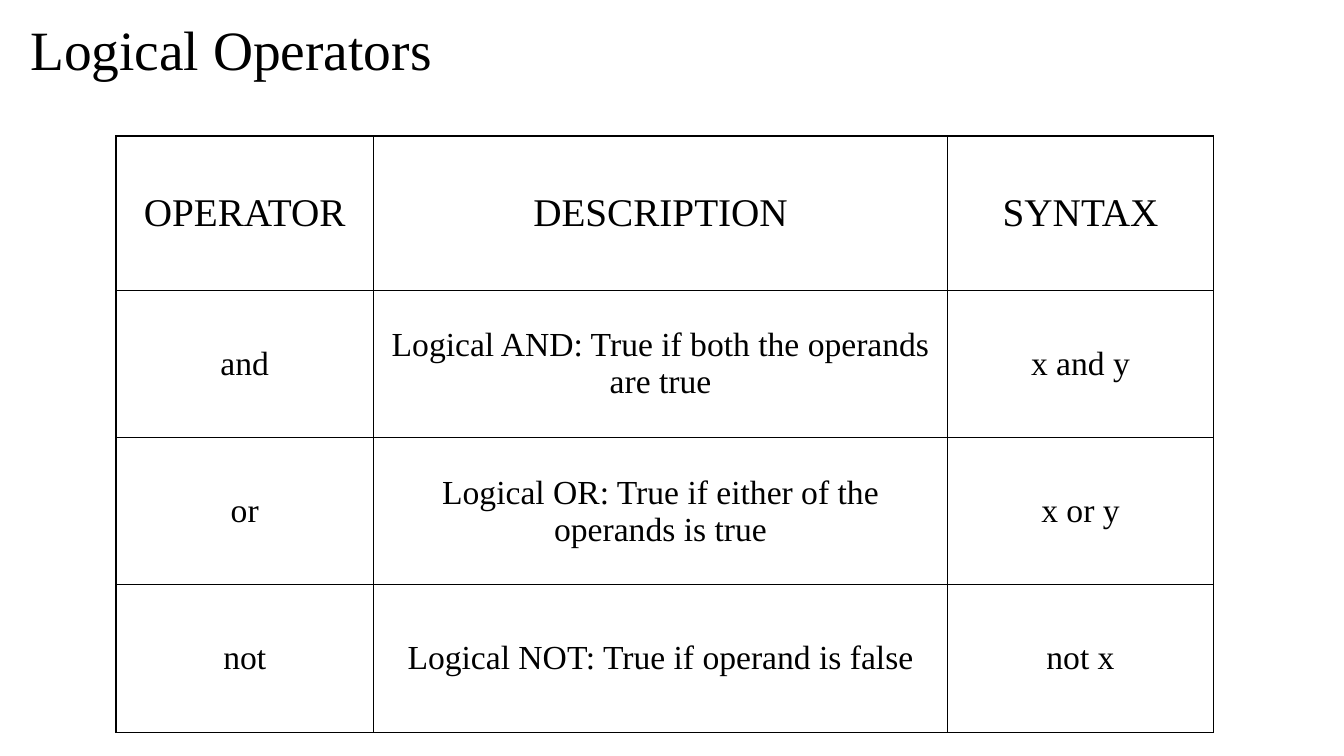
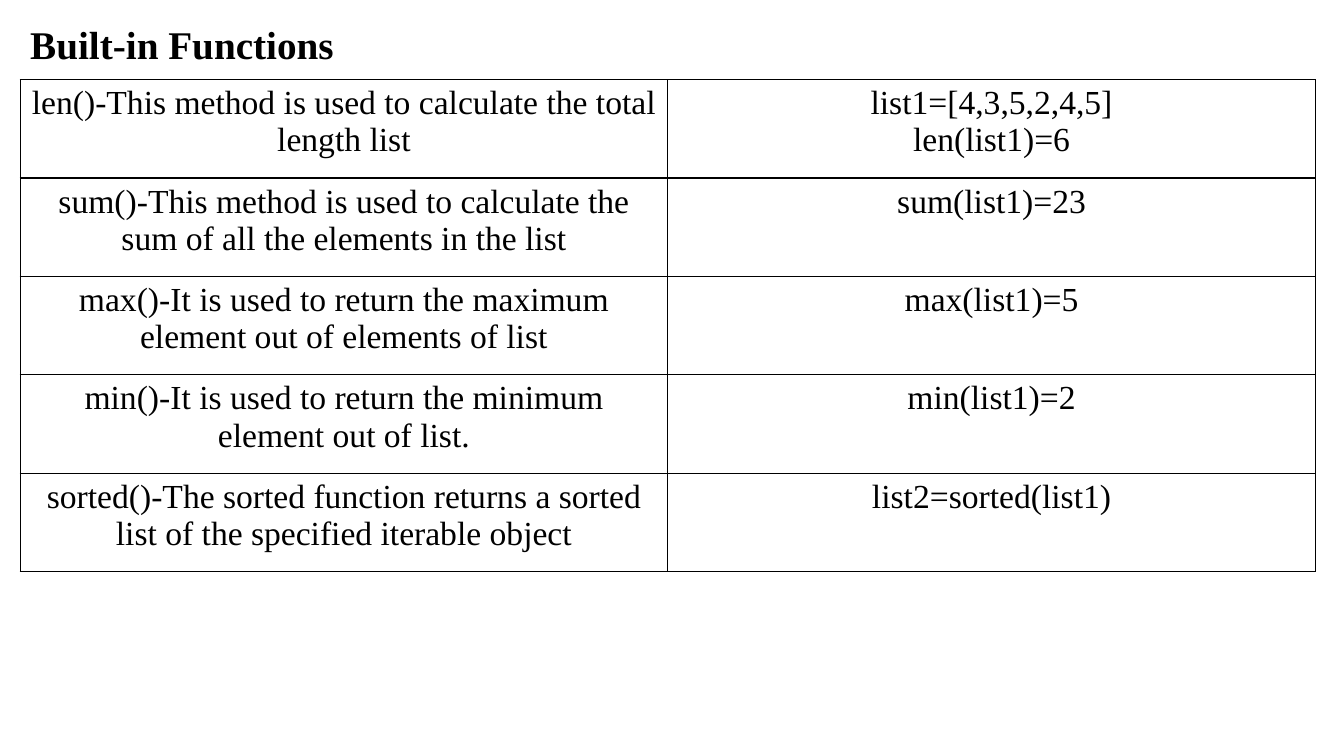
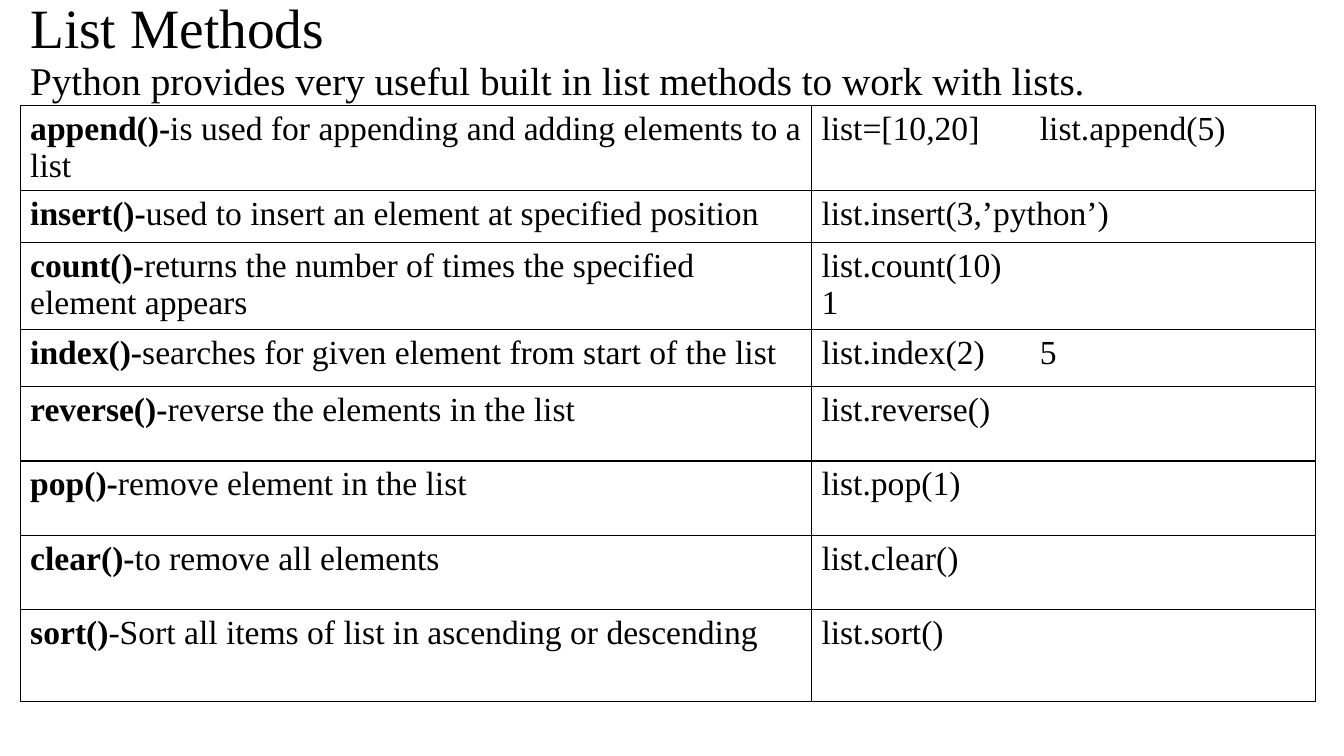
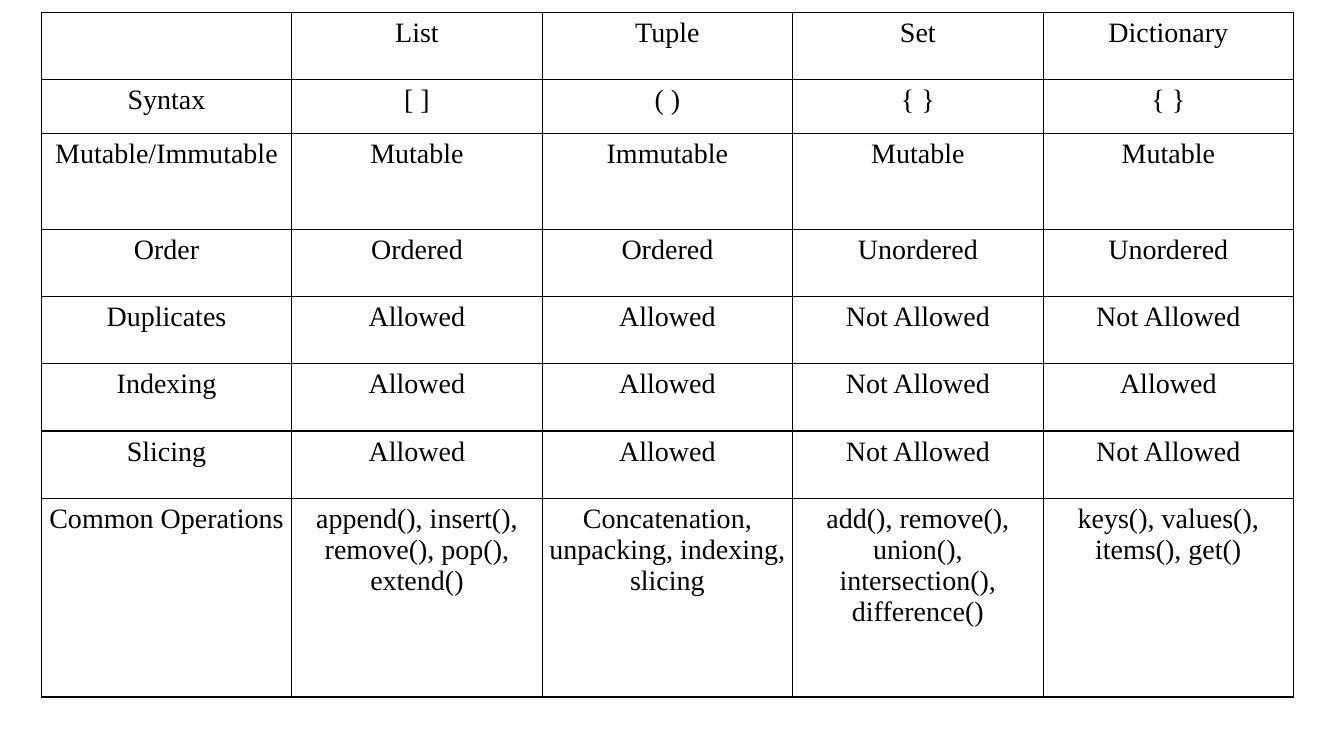
from lxml.etree import SubElement
from pptx import Presentation
from pptx.dml.color import RGBColor
from pptx.enum.text import MSO_ANCHOR, MSO_AUTO_SIZE, PP_ALIGN
from pptx.oxml import parse_xml
from pptx.oxml.ns import nsdecls, qn
from pptx.util import Pt

# Shared style
BLACK = RGBColor(0x00, 0x00, 0x00)
FONT = "Times New Roman"
TITLE_SIZE, HEADING_SIZE, BODY_SIZE, SMALL_SIZE = 39.6, 28, 24, 20
LEFT, WIDTH = 14.4, 925.2
TITLE_ONLY, BLANK = 5, 6
EXAMPLE_TAB = 156

# Table contents; a pair is a bold lead and the plain text after it
OPERATORS = [
    ("OPERATOR", "DESCRIPTION", "SYNTAX"),
    ("and", "Logical AND: True if both the operands are true", "x and y"),
    ("or", "Logical OR: True if either of the operands is true", "x or y"),
    ("not", "Logical NOT: True if operand is false", "not x"),
]
FUNCTIONS = [
    ("len()-This method is used to calculate the total length list",
     "list1=[4,3,5,2,4,5]\nlen(list1)=6"),
    ("sum()-This method is used to calculate the sum of all the elements in the list",
     "sum(list1)=23"),
    ("max()-It is used to return the maximum element out of elements of list",
     "max(list1)=5"),
    ("min()-It is used to return the minimum element out of list.", "min(list1)=2"),
    ("sorted()-The sorted function returns a sorted list of the specified iterable object",
     "list2=sorted(list1)"),
]
METHODS = [
    (("append()-", "is used for appending and adding elements to a list"),
     "list=[10,20]\tlist.append(5)"),
    (("insert()-", "used to insert an element at specified position"),
     "list.insert(3,’python’)"),
    (("count()-", "returns the number of times the specified element appears"),
     "list.count(10)\n1"),
    (("index()-", "searches for given element from start of the list"),
     "list.index(2)\t5"),
    (("reverse()-", "reverse the elements in the list"), "list.reverse()"),
    (("pop()-", "remove element in the list"), "list.pop(1)"),
    (("clear()-", "to remove all elements"), "list.clear()"),
    (("sort()", "-Sort all items of list in ascending or descending"), "list.sort()"),
]
COLLECTIONS = [
    ("", "List", "Tuple", "Set", "Dictionary"),
    ("Syntax", "[ ]", "( )", "{ }", "{ }"),
    ("Mutable/Immutable", "Mutable", "Immutable", "Mutable", "Mutable"),
    ("Order", "Ordered", "Ordered", "Unordered", "Unordered"),
    ("Duplicates", "Allowed", "Allowed", "Not Allowed", "Not Allowed"),
    ("Indexing", "Allowed", "Allowed", "Not Allowed", "Allowed"),
    ("Slicing", "Allowed", "Allowed", "Not Allowed", "Not Allowed"),
    ("Common Operations", "append(), insert(), remove(), pop(), extend()",
     "Concatenation, unpacking, indexing, slicing",
     "add(), remove(), union(), intersection(), difference()",
     "keys(), values(), items(), get()"),
]


def style_run(r, size, bold=False):
    r.font.name = FONT
    r.font.size = Pt(size)
    r.font.bold = bold
    r.font.color.rgb = BLACK


def write_line(sp, text, size, bold=False, anchor=MSO_ANCHOR.TOP):
    """Fill a title or text box with one left-aligned line."""
    tf = sp.text_frame
    tf.text = text
    tf.word_wrap = True
    tf.auto_size = MSO_AUTO_SIZE.NONE
    tf.vertical_anchor = anchor
    p = tf.paragraphs[0]
    p.alignment = PP_ALIGN.LEFT
    p.line_spacing = 0.9
    style_run(p.runs[0], size, bold)


def add_titled_slide(prs, text, top, height, size=TITLE_SIZE, bold=False,
                     anchor=MSO_ANCHOR.MIDDLE):
    s = prs.slides.add_slide(prs.slide_layouts[TITLE_ONLY])
    sp = s.shapes.title
    sp.left, sp.top, sp.width, sp.height = Pt(LEFT), Pt(top), Pt(WIDTH), Pt(height)
    write_line(sp, text, size, bold, anchor)
    return s


def set_borders(cell):
    tcPr = cell._tc.get_or_add_tcPr()
    for i, side in enumerate(("lnL", "lnR", "lnT", "lnB")):
        tcPr.insert(i, parse_xml(
            f'<a:{side} {nsdecls("a")} w="{Pt(1)}"><a:solidFill>'
            f'<a:srgbClr val="{BLACK}"/></a:solidFill></a:{side}>'))


def add_tab_stop(p, pos):
    tabs = SubElement(p._p.get_or_add_pPr(), qn("a:tabLst"))
    SubElement(tabs, qn("a:tab"), pos=str(Pt(pos)), algn="l")


def fill_cell(cell, content, size, align, anchor, margins):
    cell.fill.background()
    set_borders(cell)
    cell.vertical_anchor = anchor
    cell.margin_left = cell.margin_right = Pt(margins[0])
    cell.margin_top = cell.margin_bottom = Pt(margins[1])
    tf = cell.text_frame
    if isinstance(content, tuple):
        for text, bold in zip(content, (True, False)):
            r = tf.paragraphs[0].add_run()
            r.text = text
            style_run(r, size, bold)
    else:
        tf.text = content
        for p in tf.paragraphs:
            if "\t" in p.text:
                add_tab_stop(p, EXAMPLE_TAB)
            for r in p.runs:
                style_run(r, size)
    for p in tf.paragraphs:
        p.alignment = align


def add_grid(s, rows, left, top, widths, heights, size=BODY_SIZE, header_size=None,
             align=PP_ALIGN.CENTER, anchor=MSO_ANCHOR.TOP, margins=(7.2, 3.6)):
    """Add a plain ruled table."""
    table = s.shapes.add_table(len(rows), len(widths), Pt(left), Pt(top),
                               Pt(sum(widths)), Pt(sum(heights))).table
    table.first_row = header_size is not None
    table.horz_banding = False
    for column, width in zip(table.columns, widths):
        column.width = Pt(width)
    for i, (row, height) in enumerate(zip(rows, heights)):
        table.rows[i].height = Pt(height)
        row_size = header_size if header_size and i == 0 else size
        for j, content in enumerate(row):
            fill_cell(table.cell(i, j), content, row_size, align, anchor, margins)


def main():
    prs = Presentation()
    prs.slide_width, prs.slide_height = Pt(960), Pt(540)

    # Logical operators
    s = add_titled_slide(prs, "Logical Operators", 14.4, 46)
    add_grid(s, OPERATORS, 82.8, 97.2, [184, 410, 190], [110.2] + [105.2] * 3,
             header_size=HEADING_SIZE, anchor=MSO_ANCHOR.MIDDLE, margins=(7.2, 10.8))

    # Built-in functions
    s = add_titled_slide(prs, "Built-in Functions", 14.4, 40, HEADING_SIZE, True,
                         MSO_ANCHOR.TOP)
    add_grid(s, FUNCTIONS, LEFT, 56.9, [WIDTH / 2] * 2, [70.3] * len(FUNCTIONS))

    # List methods
    s = add_titled_slide(prs, "List Methods", 13, 17.3)
    intro = s.shapes.add_textbox(Pt(LEFT), Pt(40.3), Pt(WIDTH), Pt(36))
    write_line(intro, "Python provides very useful built in list methods to work with lists.",
               HEADING_SIZE)
    add_grid(s, METHODS, LEFT, 75.6, [565.2, 360],
             [60, 37.4, 61.9, 41] + [53.1] * 3 + [65.5], align=PP_ALIGN.LEFT)

    # Comparison of collections
    s = prs.slides.add_slide(prs.slide_layouts[BLANK])
    add_grid(s, COLLECTIONS, 29.5, 8.8, [178.9] * 5,
             [48, 38.6, 68.5] + [48] * 4 + [142], size=SMALL_SIZE, margins=(3.6, 3.6))

    prs.save("out.pptx")


if __name__ == "__main__":
    main()
